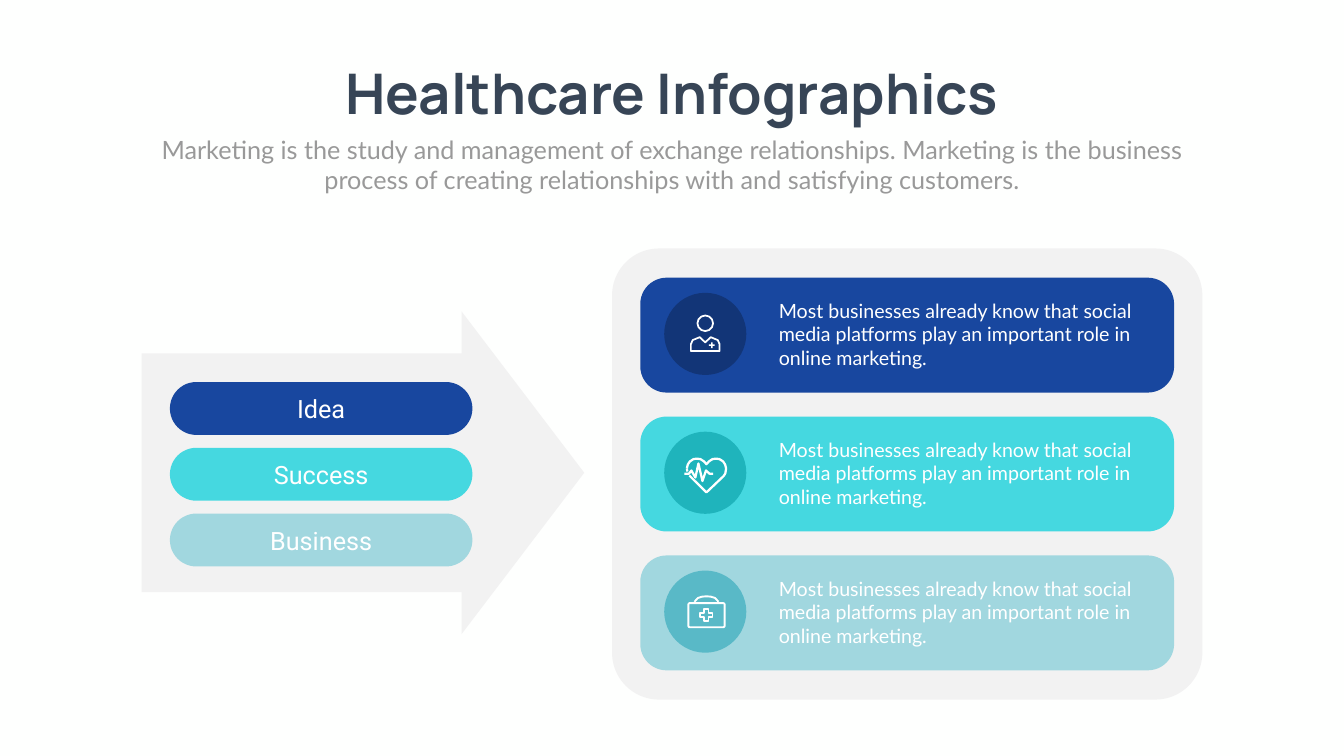
import pptx
import pptx.util
import pptx.dml.color
import pptx.enum.shapes
import pptx.enum.text
import pptx.oxml.ns
import lxml.etree

# Content
TITLE = "Healthcare Infographics"
SUBTITLE = ("Marketing is the study and management of exchange relationships. "
            "Marketing is the business process of creating relationships "
            "with and satisfying customers.")
CARD_TEXT = ("Most businesses already know that social media platforms play "
             "an important role in online marketing.")
ROWS = [("Idea", "navy", "deep navy", "doctor"),
        ("Success", "cyan", "deep cyan", "heartbeat"),
        ("Business", "mist", "deep mist", "first aid kit")]

COLORS = {"background": "FEFFFE", "title": "374556", "subtitle": "999999",
          "panel": "F2F2F2", "white": "FFFFFF",
          "navy": "18479F", "cyan": "45D8E0", "mist": "A1D7DF",
          "deep navy": "123577", "deep cyan": "1FB4BC", "deep mist": "59B9C7"}
STYLES = {"title": {"name": "Manrope", "size": 80, "bold": True, "color": "title"},
          "subtitle": {"name": "Lato", "size": 36, "color": "subtitle"},
          "pill": {"name": "Roboto", "size": 36, "color": "white"},
          "card": {"name": "Lato", "size": 28, "color": "white"}}

# Layout: left, top, width, height as percentages of the slide
WIDTH, HEIGHT = 26.66, 15
TITLE_BOX = (23.26, 7.47, 53.49, 9.67)
SUBTITLE_BOX = (10.95, 17.4, 78.09, 8.73)
PANEL = (45.54, 32.87, 43.92, 59.67)
ARROW = (10.54, 41.2, 32.93, 42.67)
CARD, CARD_PITCH = (47.64, 36.73, 39.72, 15.2), 18.37
BADGE = (49.42, 38.73, 6.11, 10.87)
CARD_TEXT_BOX = (57.58, 39.2, 29.41, 10.07)
PILL, PILL_PITCH = (12.64, 50.53, 22.51, 7), 8.7


def mirrored(points, axis):
    """Continue a left half with its reflection about a vertical axis."""
    return points + [(2 * axis - x, y) for x, y in reversed(points) if x != axis]


# Icons in percentages of the badge, measured from its centre.
# Preset parts: kind, centre x, centre y, width, height, adjustment, filled
ICONS = {
    "doctor": {
        "stroke": 2.5,
        "presets": [("OVAL", 0, -12.9, 19, 19, None, False),
                    ("CROSS", 8, 13.8, 7, 7, 0.37, True)],
        "paths": [(mirrored([(-17.5, 20.9), (-17.5, 12.6), (-15.3, 7.6),
                             (-6.7, 4), (0, 10.4)], 0), True)]},
    "heartbeat": {
        "stroke": 3.2,
        "presets": [],
        "paths": [
            (mirrored([(-22.4, -5.2), (-21.2, -10.1), (-18.7, -13.8),
                       (-14.4, -16.6), (-10.1, -17.2), (-5.8, -16.6),
                       (-1.5, -13.8), (1.5, -10.4)], 1.5)
             + [(24.5, 0.6), (22.7, 3.7), (1.5, 23.9), (-19.3, 3.4)], False),
            ([(-25.5, 1.2), (-19.9, 1.2), (-16.9, -2.8), (-12, 5.8),
              (-8.3, -11.3), (-3.4, 10.1), (0.9, -2.8), (5.2, 1.2),
              (9.5, 1.2)], False),
            ([(-22.4, -5.2), (-21.8, -1.5)], False)]},
    "first aid kit": {
        "stroke": 2.7,
        "presets": [("ROUNDED_RECTANGLE", 1.5, 4.3, 44.2, 29.4, 0.06, False),
                    ("CROSS", 1.5, 4, 14.7, 14.7, 0.33, False)],
        "paths": [(mirrored([(-13.2, -12), (-9, -16.6), (-4, -18.2),
                             (1.5, -18.7)], 1.5), False)]},
}


def rgb(name):
    return pptx.dml.color.RGBColor.from_string(COLORS[name])


def place(box, row=0, pitch=0):
    left, top, width, height = box
    return [pptx.util.Inches(value / 100) for value in
            (left * WIDTH, (top + row * pitch) * HEIGHT, width * WIDTH, height * HEIGHT)]


def paint(shape, fill=None, stroke=None):
    shape.shadow.inherit = False
    if fill:
        shape.fill.solid()
        shape.fill.fore_color.rgb = rgb(fill)
    else:
        shape.fill.background()
    if stroke:
        shape.line.color.rgb = rgb("white")
        shape.line.width = pptx.util.Pt(stroke)
        outline = shape.line._get_or_add_ln()
        lxml.etree.SubElement(outline, pptx.oxml.ns.qn("a:round"))
    else:
        shape.line.fill.background()


def add_preset(slide, kind, position, fill=None, adjustments=(), stroke=None):
    shape = slide.shapes.add_shape(
        getattr(pptx.enum.shapes.MSO_SHAPE, kind), *position)
    for index, value in enumerate(adjustments):
        shape.adjustments[index] = value
    paint(shape, fill, stroke)
    return shape


def write(shape, text, style, align="CENTER", anchor="TOP", wrap=True):
    frame = shape.text_frame
    frame.auto_size = pptx.enum.text.MSO_AUTO_SIZE.NONE
    frame.word_wrap = wrap
    frame.vertical_anchor = getattr(pptx.enum.text.MSO_ANCHOR, anchor)
    paragraph = frame.paragraphs[0]
    paragraph.alignment = getattr(pptx.enum.text.PP_ALIGN, align)
    paragraph.space_before = pptx.util.Pt(0)
    run = paragraph.add_run()
    run.text = text
    values = dict(STYLES[style])
    run.font.color.rgb = rgb(values.pop("color"))
    values["size"] = pptx.util.Pt(values["size"])
    for attribute, value in values.items():
        setattr(run.font, attribute, value)


def move(shape, box):
    shape.left, shape.top, shape.width, shape.height = place(box)


def add_icon(slide, icon, badge):
    unit = badge.width / 100
    center_x = badge.left + badge.width / 2
    center_y = badge.top + badge.height / 2
    for kind, x, y, width, height, adjustment, filled in icon["presets"]:
        position = [round(value) for value in
                    (center_x + (x - width / 2) * unit,
                     center_y + (y - height / 2) * unit, width * unit, height * unit)]
        add_preset(slide, kind, position, "white" if filled else None,
                   [] if adjustment is None else [adjustment],
                   None if filled else icon["stroke"])
    for points, closed in icon["paths"]:
        points = [(round(center_x + x * unit), round(center_y + y * unit))
                  for x, y in points]
        builder = slide.shapes.build_freeform(*points[0], scale=1.0)
        builder.add_line_segments(points[1:], close=closed)
        paint(builder.convert_to_shape(), stroke=icon["stroke"])


def main():
    presentation = pptx.Presentation()
    presentation.slide_width = pptx.util.Inches(WIDTH)
    presentation.slide_height = pptx.util.Inches(HEIGHT)
    slide = presentation.slides.add_slide(presentation.slide_layouts[0])
    slide.background.fill.solid()
    slide.background.fill.fore_color.rgb = rgb("background")

    # Heading
    title, subtitle = slide.shapes.title, slide.placeholders[1]
    move(title, TITLE_BOX)
    write(title, TITLE, "title", wrap=False)
    move(subtitle, SUBTITLE_BOX)
    write(subtitle, SUBTITLE, "subtitle")

    # Backdrops
    add_preset(slide, "ROUNDED_RECTANGLE", place(PANEL), "panel", [0.104])
    add_preset(slide, "RIGHT_ARROW", place(ARROW), "panel", [0.74, 0.38])

    # One pill and one card per row
    for row, (label, color, badge_color, icon) in enumerate(ROWS):
        pill = add_preset(slide, "ROUNDED_RECTANGLE", place(PILL, row, PILL_PITCH),
                          color, [0.5])
        write(pill, label, "pill", anchor="MIDDLE")
        add_preset(slide, "ROUNDED_RECTANGLE", place(CARD, row, CARD_PITCH),
                   color, [0.229])
        badge = add_preset(slide, "OVAL", place(BADGE, row, CARD_PITCH), badge_color)
        add_icon(slide, ICONS[icon], badge)
        text_box = slide.shapes.add_textbox(*place(CARD_TEXT_BOX, row, CARD_PITCH))
        write(text_box, CARD_TEXT, "card", align="LEFT")

    presentation.save("out.pptx")


if __name__ == "__main__":
    main()
